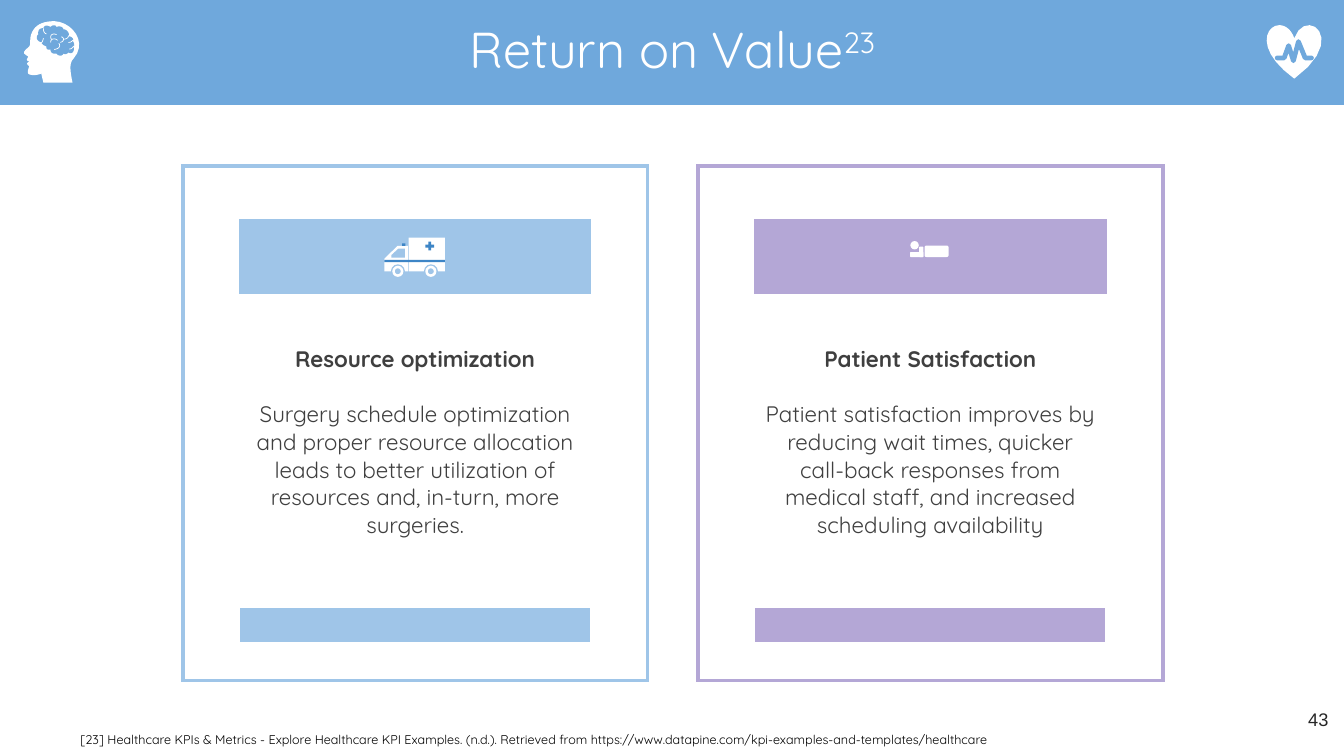
from lxml import etree
from pptx import Presentation
from pptx import util as u
from pptx.dml.color import RGBColor
from pptx.enum import shapes, text
from pptx.oxml.ns import qn

FONT = "Quicksand"
WHITE, HEADER_BLUE, DEEP_BLUE = "FFFFFF", "6FA8DC", "3D85C6"
PALE_BLUE, PURPLE, DARK = "9FC5E8", "B4A7D6", "3F3F3F"
NO_STYLE = "{2D5ABB26-0587-4C30-8999-92F81FD0307C}"
COLUMNS = [40, 252, 40]
ROWS = [38, 53.5, 72, 106.5, 44.5, 26.5, 26.5]
BANNER, HEADING, BODY, BAR = (1, 1), (2, 1), (3, 1), (5, 1)
WHITE_EDGES = {BAR: "LRTB", (5, 0): "R", (5, 2): "L", (4, 1): "B", (6, 1): "T"}
CARDS_TOP = 118.75
CARDS = [
    (130.5, PALE_BLUE, "Resource optimization",
     "Surgery schedule optimization and proper resource allocation leads to better "
     "utilization of resources and, in-turn, more surgeries."),
    (498.5, PURPLE, "Patient Satisfaction",
     "Patient satisfaction improves by reducing wait times, quicker call-back responses "
     "from medical staff, and increased scheduling availability"),
]

# Icon outlines in points: pairs are corners, sextets are Bezier curves.
HEART = [(43.2, 9.4), (41, 2.9, 36.7, 0, 32.4, 0), (23, 0, 14.4, 17.3, 43.2, 38.2),
         (82.8, 9.4, 51.1, -13.7, 43.2, 9.4)]
PULSE = [(31, 23.4), (36, 23.4), (39.2, 14.6), (42.6, 25.4), (46.2, 11.7),
         (51, 23.4), (55.5, 23.4)]
HEAD = [(38.9, 15.1), (51.8, 15.8, 62.6, 30.2, 52.6, 41.8), (49.7, 44.6, 49.7, 49, 51.8, 59),
        (31, 59), (29.5, 52.6), (25.9, 54, 21.6, 54, 20.2, 52.6),
        (19.4, 51.8, 20.2, 49, 20.9, 47.5), (20.9, 46.8, 19.4, 46.8, 19.4, 45.4),
        (19.4, 44.6, 20.2, 44.6, 20.9, 43.9), (19.4, 43.2),
        (18.7, 42.5, 20.2, 41, 20.2, 40.3), (18.7, 39.6, 18, 38.9, 17.3, 38.2),
        (16.6, 36.7, 18.7, 35.3, 20.9, 33.1), (22.3, 31, 20.9, 28.8, 22.3, 24.5),
        (24.5, 18, 30.2, 15.1, 38.9, 15.1)]
BRAIN = [(36, 19.4), (38, 17.3, 40, 18, 40.3, 19.4), (42, 18.4, 44.6, 18.8, 45.4, 21),
         (48, 21, 50, 24, 49, 26), (52, 26, 53, 29, 51.8, 29.2),
         (53.5, 31, 53, 33, 52.6, 33.8), (53.5, 37, 51, 39, 49, 37.5),
         (47, 39.5, 45.5, 38.5, 45.4, 38.2), (44, 41, 41, 39.6, 40.3, 38.2),
         (38, 39, 36, 37.5, 36, 35.3), (34, 36, 33, 35, 33.1, 33.1),
         (31, 32.5, 30, 31.5, 29.5, 30.2), (26, 29.5, 25.5, 26, 27.4, 24.5),
         (27, 22, 28, 20, 31, 20.2), (31.5, 18, 34, 17.8, 36, 19.4)]
FOLDS = [[(31, 20.2), (31, 22.3, 31.7, 23.8, 33.1, 24.2)],
         [(29.5, 30.4), (30.5, 30, 30.5, 29, 31, 27.4)],
         [(36.2, 30.2), (36, 27.5, 39.6, 27, 41, 28.8)],
         [(36.7, 28.1), (35, 25, 38, 23.5, 40.3, 24.8)],
         [(38.9, 35.3), (42, 35, 43.5, 33, 42.1, 31)],
         [(43.2, 30.2), (45, 30.2, 46, 28, 45, 27), (44.5, 26.5, 44, 26.4, 43.9, 26.4)],
         [(46.1, 28), (48, 27.8, 49, 26.5, 49, 25.5)],
         [(49, 30.3), (50.5, 30.3, 51.5, 29.5, 51.8, 28.8)],
         [(49.7, 35), (51, 35, 52, 34, 52.6, 33)]]
CAB = [(0, 15), (9.4, 5.8), (16.8, 5.8), (16.8, 24), (0, 24)]
CAB_WINDOW = [(5, 12.4), (10, 7.8), (14.6, 7.8), (14.6, 14.2), (5, 14.2)]


def rgb(value):
    return RGBColor.from_string(value)


def paint(shape, fill=None, line=None, width=0):
    shape.shadow.inherit = False
    if fill:
        shape.fill.solid()
        shape.fill.fore_color.rgb = rgb(fill)
    else:
        shape.fill.background()
    if line:
        shape.line.color.rgb = rgb(line)
        shape.line.width = u.Pt(width)
    else:
        shape.line.fill.background()
    return shape


def add_preset(page, kind, left, top, width, height, fill):
    box = page.shapes.add_shape(kind, u.Pt(left), u.Pt(top), u.Pt(width), u.Pt(height))
    return paint(box, fill)


def flatten(outline, steps=10):
    """Turn corners and Bezier curves into a plain list of points."""
    points = []
    for piece in outline:
        if len(piece) == 2:
            points.append(piece)
            continue
        ends = [points[-1], piece[:2], piece[2:4], piece[4:]]
        for step in range(1, steps + 1):
            t = step / steps
            weights = [(1 - t) ** 3, 3 * t * (1 - t) ** 2, 3 * t * t * (1 - t), t ** 3]
            points.append(tuple(sum(w * end[axis] for w, end in zip(weights, ends))
                                for axis in (0, 1)))
    return points


def add_outline(page, outline, left=0, top=0, fill=None, line=None, width=0):
    """Draw a closed outline if it has a fill, otherwise an open stroke."""
    points = [((left + x) * 100, (top + y) * 100) for x, y in flatten(outline)]
    builder = page.shapes.build_freeform(*points[0], scale=u.Pt(1) / 100)
    builder.add_line_segments(points[1:], close=bool(fill))
    shape = paint(builder.convert_to_shape(), fill, line, width)
    if line:
        shape.element.spPr.find(qn("a:ln")).set("cap", "rnd")


def add_span(para, words, size, colour, font=FONT, bold=False):
    span = para.add_run()
    span.text = words
    span.font.size, span.font.name, span.font.bold = u.Pt(size), font, bold
    span.font.color.rgb = rgb(colour)
    return span


def add_text(page, left, top, width, height, margin, anchor, align, spacing=1):
    """Add an empty text box and return its first paragraph."""
    frame = page.shapes.add_textbox(u.Pt(left), u.Pt(top), u.Pt(width), u.Pt(height)).text_frame
    frame.word_wrap, frame.vertical_anchor = True, anchor
    frame.margin_left = frame.margin_right = u.Pt(margin)
    frame.margin_top = frame.margin_bottom = u.Pt(margin)
    para = frame.paragraphs[0]
    para.alignment, para.line_spacing = align, spacing
    return para


def set_border(cell, side, colour, width):
    line = etree.SubElement(cell._tc.get_or_add_tcPr(), qn("a:ln" + side), w=str(u.Pt(width)))
    fill = etree.SubElement(line, qn("a:solidFill"))
    etree.SubElement(fill, qn("a:srgbClr"), val=colour)


def style_cell(cell, spot, colour):
    row, column = spot
    frame_edges = {"L": column == 0, "R": column == len(COLUMNS) - 1,
                   "T": row == 0, "B": row == len(ROWS) - 1}
    for side, on_frame in frame_edges.items():
        if on_frame:
            set_border(cell, side, colour, 3)
        elif side in WHITE_EDGES.get(spot, ""):
            set_border(cell, side, WHITE, 2.25)
    if spot in (BANNER, BAR):
        cell.fill.solid()
        cell.fill.fore_color.rgb = rgb(colour)
    else:
        cell.fill.background()
    cell.margin_top = cell.margin_bottom = u.Pt(0)


def add_card(page, left, colour, heading, body):
    table = page.shapes.add_table(len(ROWS), len(COLUMNS), u.Pt(left), u.Pt(CARDS_TOP),
                                  u.Pt(sum(COLUMNS)), u.Pt(sum(ROWS))).table
    table.first_row = table.horz_banding = False
    table._tbl.tblPr.find(qn("a:tableStyleId")).text = NO_STYLE
    for column, width in zip(table.columns, COLUMNS):
        column.width = u.Pt(width)
    for row, height in zip(table.rows, ROWS):
        row.height = u.Pt(height)
    for row in range(len(ROWS)):
        for column in range(len(COLUMNS)):
            style_cell(table.cell(row, column), (row, column), colour)
    for spot, words, top_margin in ((HEADING, heading, 20), (BODY, body, 0)):
        cell = table.cell(*spot)
        cell.vertical_anchor = text.MSO_ANCHOR.MIDDLE
        cell.margin_top = u.Pt(top_margin)
        para = cell.text_frame.paragraphs[0]
        para.alignment = text.PP_ALIGN.CENTER
        add_span(para, words, 16, DARK, bold=spot == HEADING)


def add_ambulance(page, left, top):
    kind = shapes.MSO_SHAPE
    add_outline(page, CAB, left, top, WHITE)
    add_outline(page, CAB_WINDOW, left, top, PALE_BLUE)
    add_preset(page, kind.RECTANGLE, left + 17.3, top, 25.9, 24, WHITE)
    add_preset(page, kind.RECTANGLE, left, top + 15.8, 43.2, 1.6, DEEP_BLUE)
    add_preset(page, kind.RECTANGLE, left + 12.6, top + 4, 2.4, 1.8, DEEP_BLUE)
    plus = add_preset(page, kind.MATH_PLUS, left + 28.1, top + 1.7, 8.6, 8.6, DEEP_BLUE)
    plus.adjustments[0] = 0.235
    for wheel in (9.6, 33.2):
        add_preset(page, kind.OVAL, left + wheel - 5, top + 19, 10, 10, PALE_BLUE)
        tyre = add_preset(page, kind.DONUT, left + wheel - 4, top + 20, 8, 8, WHITE)
        tyre.adjustments[0] = 0.23


def add_patient(page, left, top):
    kind = shapes.MSO_SHAPE
    add_preset(page, kind.OVAL, left + 0.3, top, 6, 6, WHITE)
    add_preset(page, kind.ROUNDED_RECTANGLE, left, top + 7.8, 9.6, 3.6, WHITE)
    add_preset(page, kind.ROUNDED_RECTANGLE, left + 6.6, top + 4, 3, 7.4, WHITE)
    add_preset(page, kind.ROUNDED_RECTANGLE, left + 10.4, top + 3.2, 17.2, 8.2, WHITE)


def add_header(page):
    add_preset(page, shapes.MSO_SHAPE.RECTANGLE, 0, 0, 960, 75, HEADER_BLUE)
    para = add_text(page, 24.5, 8.6, 911.5, 57, 4, text.MSO_ANCHOR.MIDDLE,
                    text.PP_ALIGN.CENTER, 0.9)
    add_span(para, "Return on Value", 36, WHITE)
    add_span(para, "23", 36, WHITE).font._element.set("baseline", "30000")
    add_outline(page, HEART, 881.3, 18, WHITE)
    add_outline(page, PULSE, 881.3, 18, line=HEADER_BLUE, width=3.4)
    add_outline(page, HEAD, fill=WHITE)
    add_outline(page, BRAIN, fill=HEADER_BLUE)
    for fold in FOLDS:
        add_outline(page, fold, line=WHITE, width=0.5)


def main():
    deck = Presentation()
    deck.slide_width, deck.slide_height = u.Pt(960), u.Pt(540)
    page = deck.slides.add_slide(deck.slide_layouts[6])
    for card in CARDS:
        add_card(page, *card)
    add_ambulance(page, 274.6, 169.8)
    add_patient(page, 650, 172.2)
    add_header(page)
    source = add_text(page, 48, 502.5, 775.5, 37.5, 9.4, text.MSO_ANCHOR.BOTTOM,
                      text.PP_ALIGN.LEFT, 1.15)
    add_span(source, "[23] Healthcare KPIs & Metrics - Explore Healthcare KPI Examples. (n.d.). "
             "Retrieved from https://www.datapine.com/kpi-examples-and-templates/healthcare",
             9, "000000")
    number = add_text(page, 898.5, 499, 57.5, 41, 7.2, text.MSO_ANCHOR.TOP, text.PP_ALIGN.RIGHT)
    add_span(number, "43", 13, "262626", "Arial")
    deck.save("out.pptx")


if __name__ == "__main__":
    main()
